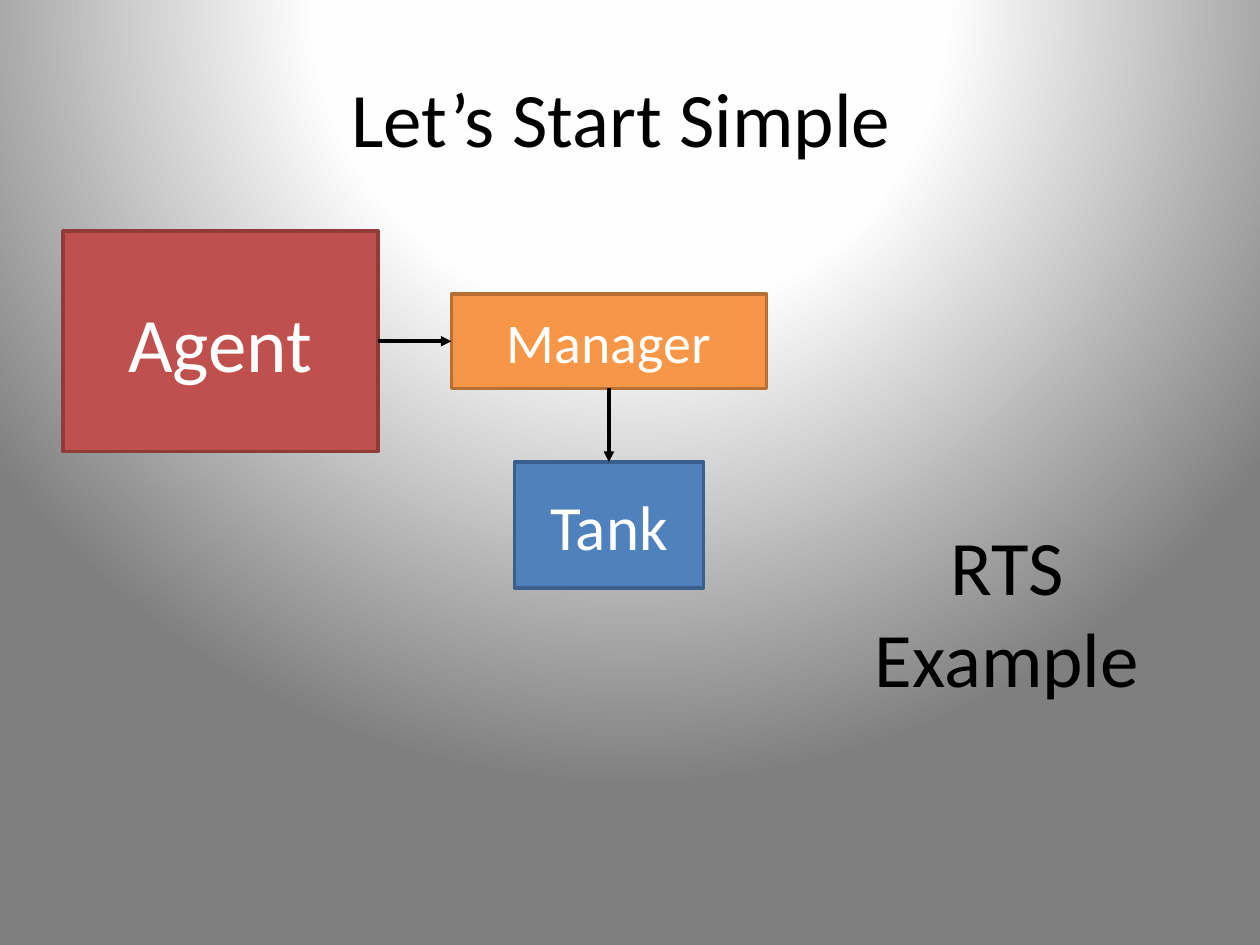
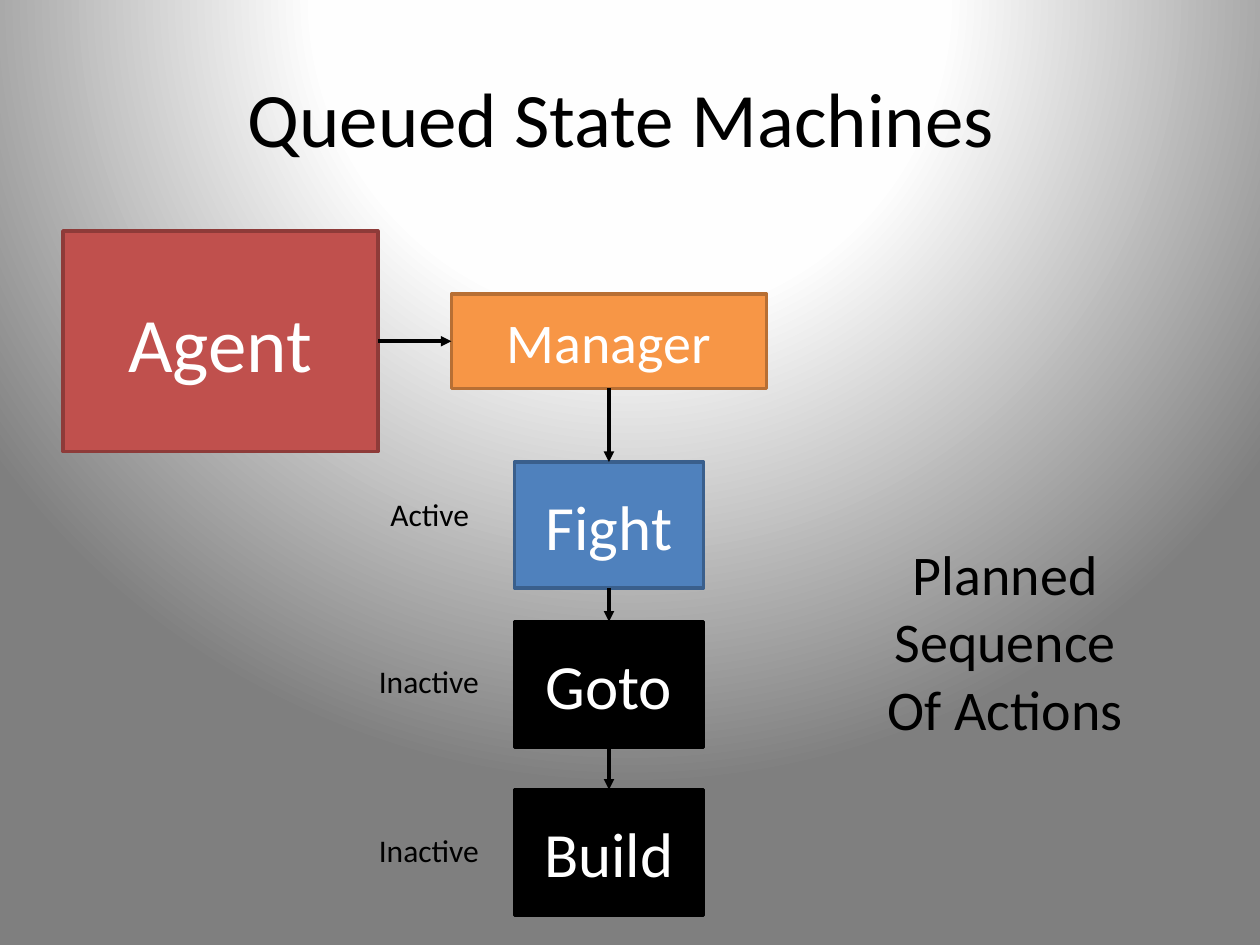
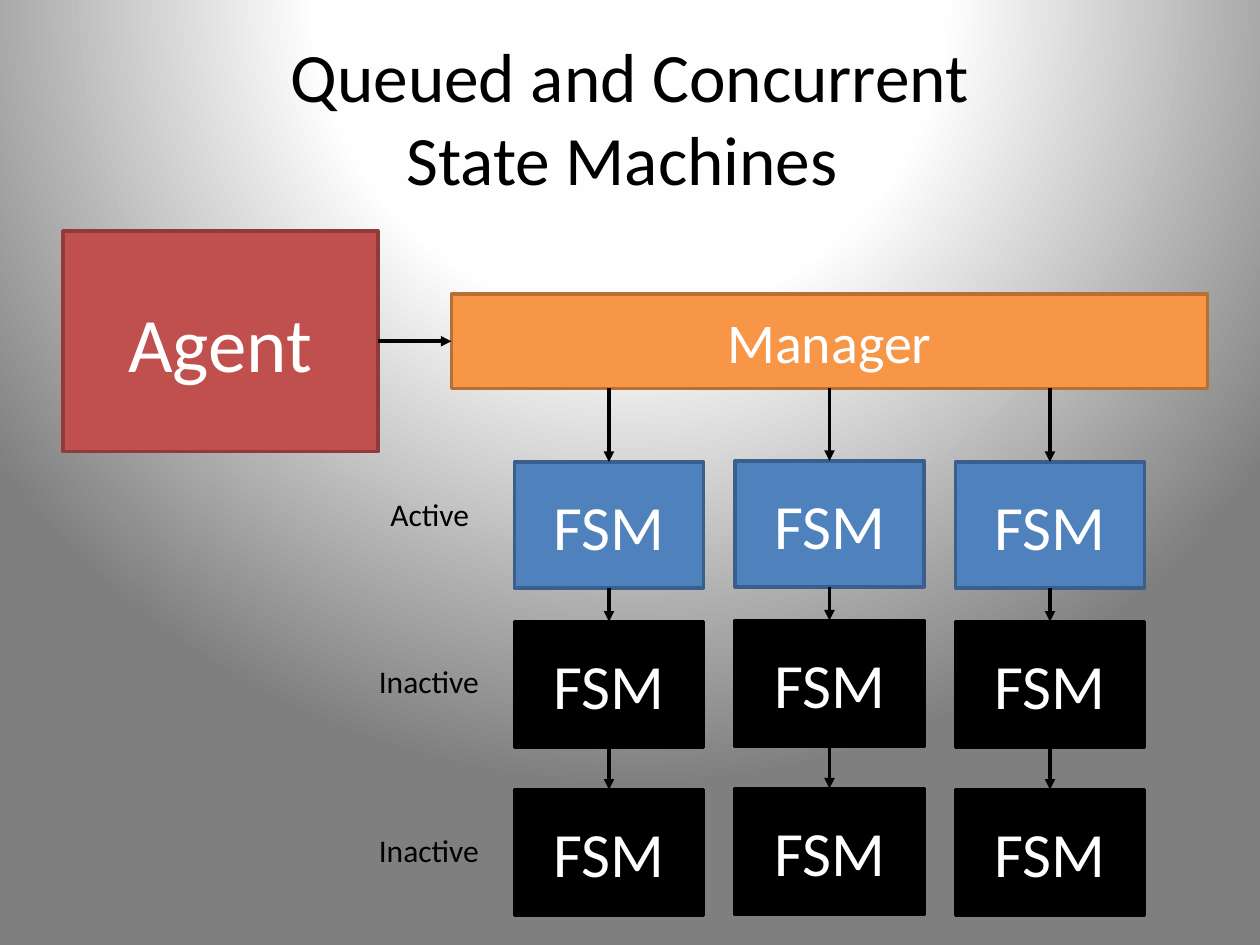
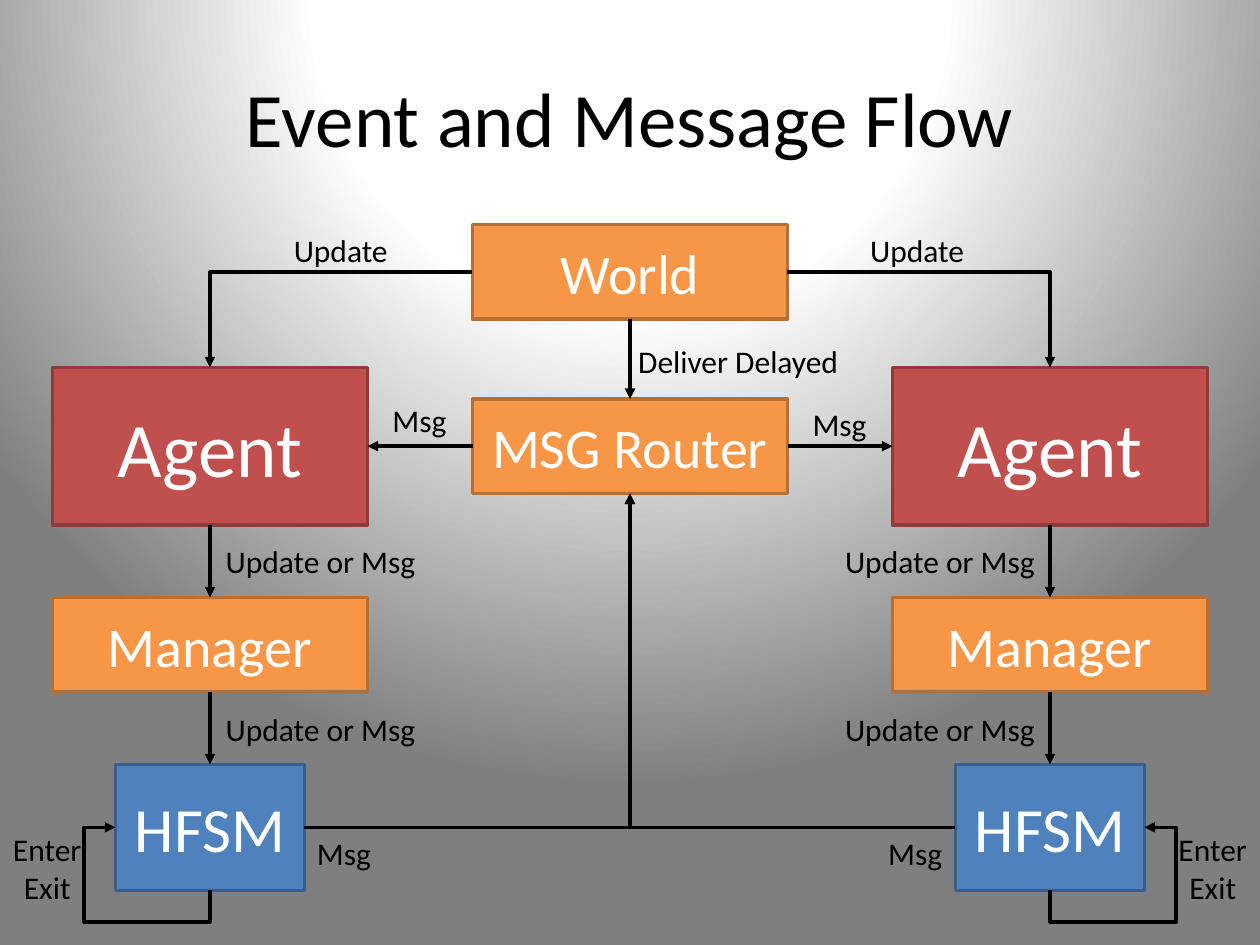
from dataclasses import dataclass
from typing import NamedTuple

from lxml import etree
from pptx import Presentation
from pptx import util as u
from pptx.dml.color import RGBColor
from pptx.enum import shapes, text
from pptx.oxml import parse_xml
from pptx.oxml.ns import nsdecls, qn
from pptx.shapes.autoshape import Shape
from pptx.shapes.connector import Connector
from pptx.slide import Slide

EMU_PER_PX = 7620  # 120 px to the inch
SLIDE_W, SLIDE_H = 1200, 900
FONT = "Calibri"
BLACK, WHITE = "000000", "FFFFFF"
TOP, LEFT, BOTTOM, RIGHT = range(4)
BACKGROUND_STOPS = [(0, "FFFFFF"), (40, "FEFEFE"), (100, "7F7F7F")]

STATE_W, STATE_H = 180, 120
STATE_TOPS = [440, 592, 752]
FIRST_COLUMN = 490


@dataclass(frozen=True)
class Role:
    fill: str
    border: str
    size: int


AGENT = Role("C0504D", "8E3B39", 44)
MANAGER = Role("F79646", "B76F34", 32)
ACTIVE = Role("4F81BD", "3A5F8C", 36)
INACTIVE = Role(BLACK, BLACK, 36)


class Frame(NamedTuple):
    left: int
    top: int
    width: int
    height: int = 48

    def emu(self) -> list[u.Emu]:
        return [px(length) for length in self]

    def mirrored(self) -> "Frame":
        return self._replace(left=SLIDE_W - self.left - self.width)


class Label(NamedTuple):
    words: str
    frame: Frame


STATUS_LABELS = [
    Label("Active", Frame(360, 466, 100)),
    Label("Inactive", Frame(349, 625, 121)),
    Label("Inactive", Frame(349, 786, 121)),
]


def px(length: int) -> u.Emu:
    return u.Emu(length * EMU_PER_PX)


def rgb(code: str) -> RGBColor:
    return RGBColor.from_string(code)


def set_text(frame: text, words: str, size: float, color: str, centred: bool = True) -> None:
    frame.text = words
    for paragraph in frame.paragraphs:
        paragraph.alignment = text.PP_ALIGN.CENTER if centred else text.PP_ALIGN.LEFT
        paragraph.font.name = FONT
        paragraph.font.size = u.Pt(size)
        paragraph.font.color.rgb = rgb(color)


def set_background(prs: Presentation) -> None:
    """Give the master a round gradient that is lit from above the slide."""
    master = prs.slide_master
    master.background.fill.solid()
    plain = master.element.xpath("p:cSld/p:bg/p:bgPr/a:solidFill")[0]
    stops = "".join(
        f'<a:gs pos="{percent * 1000}"><a:srgbClr val="{code}"/></a:gs>'
        for percent, code in BACKGROUND_STOPS
    )
    gradient = parse_xml(
        f'<a:gradFill {nsdecls("a")} rotWithShape="1"><a:gsLst>{stops}</a:gsLst>'
        '<a:path path="circle">'
        '<a:fillToRect l="50000" t="-80000" r="50000" b="180000"/>'
        "</a:path></a:gradFill>"
    )
    plain.getparent().replace(plain, gradient)


def add_slide(prs: Presentation, title: str, size: float = 44) -> Slide:
    slide = prs.slides.add_slide(prs.slide_layouts[5])
    heading = slide.shapes.title
    heading.left, heading.top, heading.width, heading.height = Frame(60, 36, 1080, 150).emu()
    heading.text_frame.auto_size = text.MSO_AUTO_SIZE.NONE
    heading.text_frame.vertical_anchor = text.MSO_ANCHOR.MIDDLE
    set_text(heading.text_frame, title, size, BLACK)
    return slide


def add_box(slide: Slide, words: str, role: Role, frame: Frame) -> Shape:
    box = slide.shapes.add_shape(shapes.MSO_SHAPE.RECTANGLE, *frame.emu())
    box.shadow.inherit = False
    box.fill.solid()
    box.fill.fore_color.rgb = rgb(role.fill)
    box.line.color.rgb = rgb(role.border)
    box.line.width = u.Pt(2)
    box.text_frame.vertical_anchor = text.MSO_ANCHOR.MIDDLE
    set_text(box.text_frame, words, role.size, WHITE)
    return box


def add_label(slide: Slide, label: Label, size: int = 18, centred: bool = False) -> None:
    box = slide.shapes.add_textbox(*label.frame.emu())
    box.text_frame.word_wrap = False
    box.text_frame.auto_size = text.MSO_AUTO_SIZE.SHAPE_TO_FIT_TEXT
    set_text(box.text_frame, label.words, size, BLACK, centred)


def add_arrow(slide: Slide, start: Shape, start_side: int, end: Shape, end_side: int,
              preset: str = "line") -> Connector:
    straight = preset == "line"
    kind = shapes.MSO_CONNECTOR.STRAIGHT if straight else shapes.MSO_CONNECTOR.ELBOW
    arrow = slide.shapes.add_connector(kind, 0, 0, 0, 0)
    arrow.begin_connect(start, start_side)
    arrow.end_connect(end, end_side)
    arrow.line.color.rgb = rgb(BLACK)
    arrow.line.width = u.Pt(2)
    properties = arrow.element.spPr
    properties.find(qn("a:prstGeom")).set("prst", preset)
    etree.SubElement(properties.find(qn("a:ln")), qn("a:tailEnd"), type="triangle")
    etree.SubElement(properties, qn("a:effectLst"))
    return arrow


def add_drop(slide: Slide, manager: Shape, state: Shape) -> None:
    """Arrow straight down from the manager's lower edge to a state."""
    arrow = add_arrow(slide, manager, BOTTOM, state, TOP)
    centre = state.left + state.width // 2
    if centre != manager.left + manager.width // 2:
        start = arrow.element.find(f".//{qn('a:stCxn')}")
        start.getparent().remove(start)
        arrow.begin_x = centre


def add_loop(slide: Slide, state: Shape, side: int) -> None:
    """Arrow from a state's lower edge around its corner to one side."""
    arrow = add_arrow(slide, state, BOTTOM, state, side, "bentConnector4")
    properties = arrow.element.spPr
    # A quarter turn makes the route leave downwards
    transform = properties.find(qn("a:xfrm"))
    flip_h, flip_v = arrow.begin_x > arrow.end_x, arrow.begin_y > arrow.end_y
    width, height = arrow.width, arrow.height
    arrow.left += (width - height) // 2
    arrow.top += (height - width) // 2
    arrow.width, arrow.height = height, width
    transform.set("rot", "5400000")
    transform.set("flipH", str(int(flip_v)))
    transform.set("flipV", str(int(not flip_h)))
    adjustments = properties.find(qn("a:prstGeom")).find(qn("a:avLst"))
    for name, value in (("adj1", -50000), ("adj2", 133333)):
        etree.SubElement(adjustments, qn("a:gd"), name=name, fmla=f"val {value}")


def add_agent_and_manager(slide: Slide, manager_width: int = 300) -> Shape:
    agent = add_box(slide, "Agent", AGENT, Frame(60, 220, 300, 210))
    manager = add_box(slide, "Manager", MANAGER, Frame(430, 280, manager_width, 90))
    add_arrow(slide, agent, RIGHT, manager, LEFT)
    return manager


def add_queue(slide: Slide, manager: Shape, names: list[str],
              left: int = FIRST_COLUMN, rise: int = 0) -> None:
    """Column of states under the manager; only the first one is active."""
    states = [
        add_box(slide, name, INACTIVE if place else ACTIVE,
                Frame(left, top - rise, STATE_W, STATE_H))
        for place, (name, top) in enumerate(zip(names, STATE_TOPS))
    ]
    add_drop(slide, manager, states[0])
    for earlier, later in zip(states, states[1:]):
        add_arrow(slide, earlier, BOTTOM, later, TOP)


def add_status_labels(slide: Slide) -> None:
    for label in STATUS_LABELS:
        add_label(slide, label)


def build_simple(prs: Presentation) -> None:
    slide = add_slide(prs, "Let’s Start Simple ")
    add_queue(slide, add_agent_and_manager(slide), ["Tank"])
    add_label(slide, Label("RTS\nExample", Frame(820, 488, 278, 190)), 44, centred=True)


def build_queued(prs: Presentation) -> None:
    slide = add_slide(prs, "Queued State Machines ")
    add_queue(slide, add_agent_and_manager(slide), ["Fight", "Goto", "Build"])
    add_status_labels(slide)
    plan = Label("Planned\nSequence\nOf Actions", Frame(832, 508, 251, 206))
    add_label(slide, plan, 32, centred=True)


def build_concurrent(prs: Presentation) -> None:
    slide = add_slide(prs, "Queued and Concurrent\vState Machines ", 39.6)
    manager = add_agent_and_manager(slide, 720)
    for column, rise in enumerate((0, 1, 0)):
        add_queue(slide, manager, ["FSM"] * 3, FIRST_COLUMN + column * 210, rise)
    add_status_labels(slide)


def build_message_flow(prs: Presentation) -> None:
    slide = add_slide(prs, "Event and Message Flow")
    world = add_box(slide, "World", MANAGER, Frame(450, 214, 300, 90))
    router = add_box(slide, "MSG Router", MANAGER, Frame(450, 380, 300, 90))
    add_arrow(slide, world, BOTTOM, router, TOP)
    add_label(slide, Label("Deliver Delayed", Frame(596, 320, 224)))

    for outer, inner in ((LEFT, RIGHT), (RIGHT, LEFT)):
        def placed(*lengths: int) -> Frame:
            frame = Frame(*lengths)
            return frame if outer == LEFT else frame.mirrored()

        agent = add_box(slide, "Agent", AGENT, placed(50, 350, 300, 150))
        manager = add_box(slide, "Manager", MANAGER, placed(50, 569, 300, 90))
        machine = add_box(slide, "HFSM", ACTIVE, placed(110, 728, STATE_W, STATE_H))

        add_arrow(slide, world, outer, agent, TOP, "bentConnector2")
        add_arrow(slide, router, outer, agent, inner)
        add_arrow(slide, agent, BOTTOM, manager, TOP)
        add_arrow(slide, manager, BOTTOM, machine, TOP)
        add_arrow(slide, machine, inner, router, BOTTOM, "bentConnector2")
        add_loop(slide, machine, outer)

        add_label(slide, Label("Update", placed(268, 214, 115)))
        add_label(slide, Label("Msg", placed(362, 376 if outer == LEFT else 380, 76)))
        add_label(slide, Label("Msg", placed(290, 788, 76)))
        for top in (510, 670):
            update_left = 203 if outer == LEFT else 793
            add_label(slide, Label("Update or Msg", Frame(update_left, top, 208)))
        add_label(slide, Label("Enter\nExit", placed(0, 785, 90, 85)), centred=True)


def main() -> None:
    prs = Presentation()
    prs.slide_width, prs.slide_height = px(SLIDE_W), px(SLIDE_H)
    set_background(prs)
    build_simple(prs)
    build_queued(prs)
    build_concurrent(prs)
    build_message_flow(prs)
    prs.save("out.pptx")


if __name__ == "__main__":
    main()
